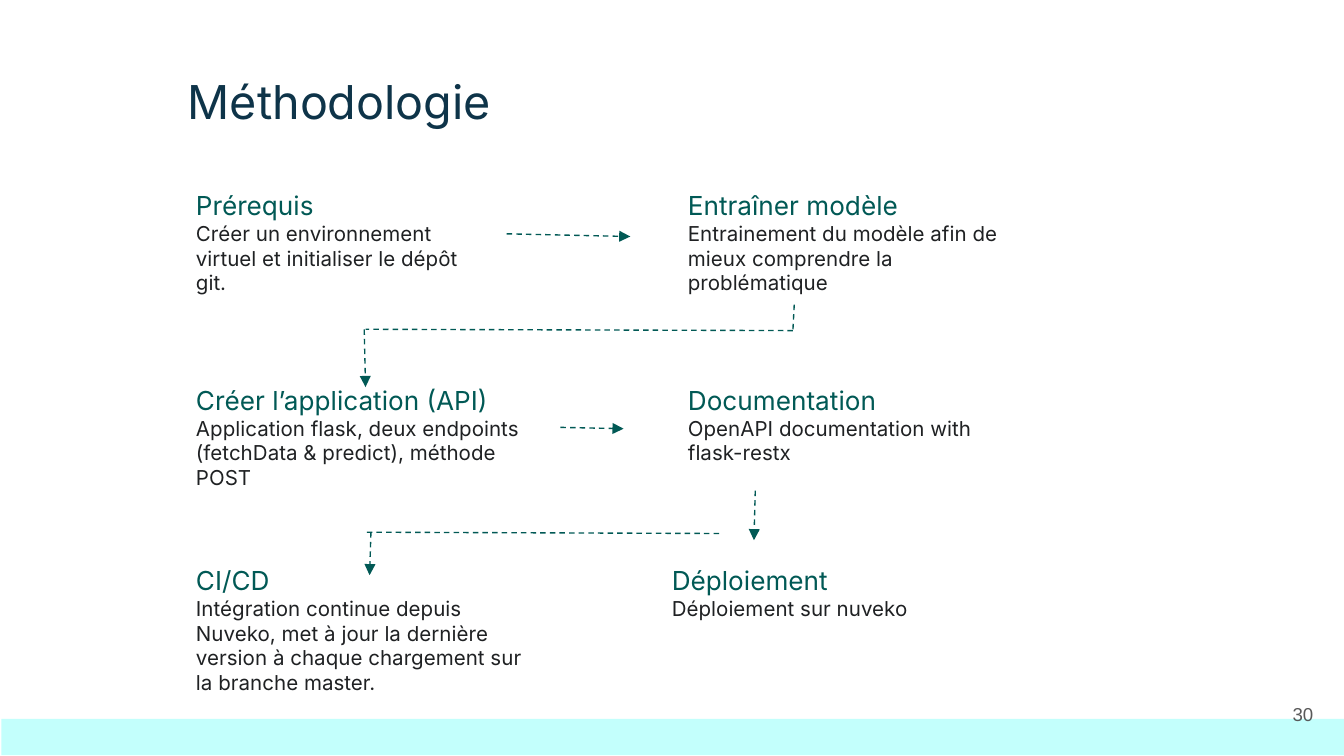
from dataclasses import dataclass
from pptx import Presentation
from pptx.dml.color import RGBColor as Rgb
from pptx.enum.dml import MSO_LINE as Dash
from pptx.enum.shapes import MSO_CONNECTOR as Conn, MSO_SHAPE as Form
from pptx.enum.text import MSO_ANCHOR as Anchor, PP_ALIGN as Align
from pptx.oxml.ns import qn
from pptx.util import Inches, Pt
from lxml.etree import SubElement as Sub


@dataclass(frozen=True)
class Theme:
    """Holds the colours, fonts and sizes."""
    navy: str = "0E3449"
    green: str = "015955"
    ink: str = "1F2123"
    gray: str = "595959"
    aqua: str = "C3FFFC"
    face: str = "Inter"
    plain: str = "Arial"
    title: float = 25
    head: float = 14
    body: float = 11
    small: float = 10
    line: float = 0.75


class Board:
    """Draws styled elements on one slide."""

    def __init__(self, slide, theme):
        self.shapes, self.theme = slide.shapes, theme

    def text(self, box, rows, face, anchor=Anchor.TOP, align=Align.LEFT):
        """Adds a text box with one styled paragraph per row."""
        frame = self.shapes.add_textbox(*map(Inches, box)).text_frame
        form = {"word_wrap": True, "vertical_anchor": anchor}
        form |= {f"margin_{side}": Inches(0.1)
                 for side in ("left", "top", "right", "bottom")}
        for key, val in form.items():
            setattr(frame, key, val)
        for num, (words, size, color) in enumerate(rows):
            para = frame.add_paragraph() if num else frame.paragraphs[0]
            para.alignment = align
            run = para.add_run()
            run.text = words
            for key, val in {"name": face, "size": Pt(size)}.items():
                setattr(run.font, key, val)
            run.font.color.rgb = Rgb.from_string(color)

    def step(self, box, head, body):
        """Adds a heading with its description."""
        look = self.theme
        rows = [(head, look.head, look.green), (body, look.body, look.ink)]
        self.text(box, rows, look.face)

    def band(self, box, color):
        """Adds a plain filled bar."""
        bar = self.shapes.add_shape(Form.RECTANGLE, *map(Inches, box))
        bar.shadow.inherit = False
        bar.fill.solid()
        bar.fill.fore_color.rgb = Rgb.from_string(color)
        bar.line.fill.background()

    def link(self, ends, arrow):
        """Adds a dashed line, with an arrowhead if asked."""
        link = self.shapes.add_connector(Conn.STRAIGHT, *map(Inches, ends))
        line = link.line
        line.color.rgb = Rgb.from_string(self.theme.green)
        form = {"width": Pt(self.theme.line), "dash_style": Dash.DASH}
        for key, val in form.items():
            setattr(line, key, val)
        props = link._element.spPr
        if arrow:
            Sub(props.find(qn("a:ln")), qn("a:tailEnd"), type="triangle")
        Sub(props, qn("a:effectLst"))


LEFT, RIGHT = 1.36, 5.02
ROWS = 1.31, 2.76, 4.1
STEPS = [
    ((LEFT, ROWS[0], 2.24, 0.99), "Prérequis",
     "Créer un environnement virtuel et initialiser le dépôt git."),
    ((RIGHT, ROWS[0], 2.64, 0.99), "Entraîner modèle",
     "Entrainement du modèle afin de mieux comprendre la problématique"),
    ((LEFT, ROWS[1], 2.71, 0.99), "Créer l’application (API)",
     "Application flask, deux endpoints (fetchData & predict), méthode POST"),
    ((RIGHT, ROWS[1], 2.71, 0.81), "Documentation",
     "OpenAPI documentation with flask-restx"),
    ((4.9, ROWS[2], 2.71, 0.62), "Déploiement", "Déploiement sur nuveko"),
    ((LEFT, ROWS[2], 2.71, 1.18), "CI/CD",
     "Intégration continue depuis Nuveko, met à jour la dernière version "
     "à chaque chargement sur la branche master."),
]
LINKS = [
    ((3.77, 1.74, 4.69, 1.76), True),
    ((2.71, 2.45, 2.72, 2.88), True),
    ((5.9, 2.46, 2.72, 2.45), False),
    ((5.9, 2.45, 5.91, 2.26), False),
    ((4.17, 3.18, 4.64, 3.19), True),
    ((5.62, 3.65, 5.61, 4.02), True),
    ((5.35, 3.97, 2.72, 3.96), False),
    ((2.76, 3.96, 2.75, 4.28), True),
]


def main():
    """Builds the slide and saves it."""
    deck, look = Presentation(), Theme()
    wide = Inches(10)
    size = {"slide_width": wide, "slide_height": wide * 9 // 16}
    for key, val in size.items():
        setattr(deck, key, val)
    board = Board(deck.slides.add_slide(deck.slide_layouts[6]), look)
    board.text((1.3, 0.44, 5.81, 0.58),
               [("Méthodologie", look.title, look.navy)], look.face)
    board.band((0.01, 5.35, 10, 0.27), look.aqua)
    board.text((9.27, 5.1, 0.6, 0.43), [("30", look.small, look.gray)],
               look.plain, Anchor.MIDDLE, Align.RIGHT)
    for step in STEPS:
        board.step(*step)
    for link in LINKS:
        board.link(*link)
    deck.save("out.pptx")


main()
